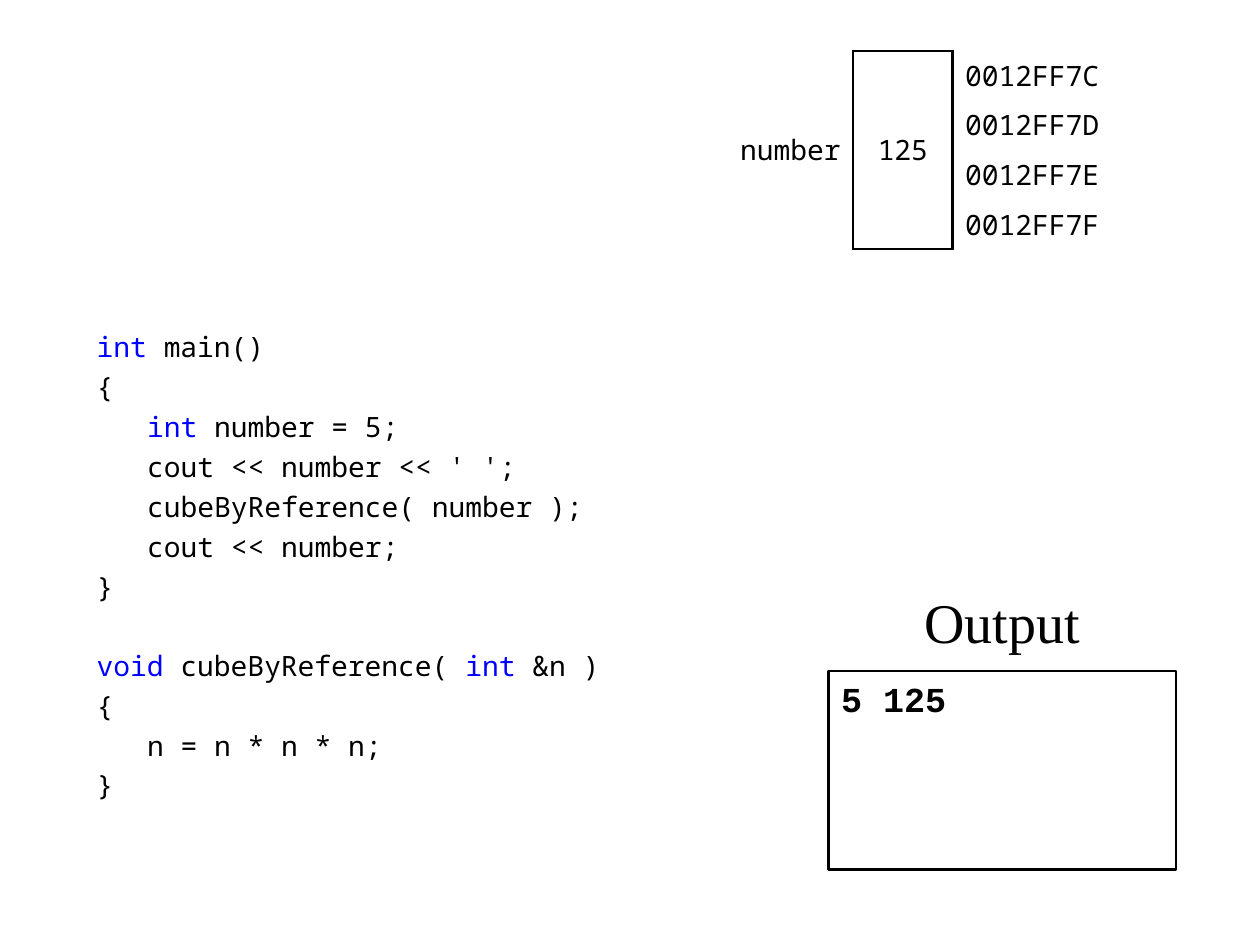
"""Build a slide on call by reference: code, memory table and program output."""
import pptx
import pptx.dml.color
import pptx.enum.shapes
import pptx.enum.text
import pptx.oxml
import pptx.oxml.ns
import pptx.util

Pt = pptx.util.Pt
ALIGN = pptx.enum.text.PP_ALIGN
MIDDLE = pptx.enum.text.MSO_ANCHOR.MIDDLE
COLORS = {"text": "000000", "keyword": "0000FF", "paper": "FFFFFF"}
CODE_FONT = "Noto Sans Mono"
KEYWORDS = ("int", "void")
FUNCTIONS = [
    [(0, "int main()"), (0, "{"), (1, "int number = 5;"),
     (1, "cout << number << ' ';"), (1, "cubeByReference( number );"),
     (1, "cout << number;"), (0, "}")],
    [(0, "void cubeByReference( int &n )"), (0, "{"),
     (1, "n = n * n * n;"), (0, "}")],
]
VARIABLE, VALUE = "number", "125"
ADDRESSES = ["0012FF7C", "0012FF7D", "0012FF7E", "0012FF7F"]
MEMORY_COLUMNS = [85, 56.7, 113.4]
BYTE_HEIGHT = 28.35
INDENT, LINE_GAP, LINE_PITCH = 28.8, 3.6, 22.4


def rgb(name):
    return pptx.dml.color.RGBColor.from_string(COLORS[name])


def style(run, size, font=CODE_FONT, color="text", bold=False):
    run.font.size, run.font.name, run.font.bold = Pt(size), font, bold
    run.font.color.rgb = rgb(color)


def write(frame, text, align, *looks):
    frame.text = text
    frame.paragraphs[0].alignment = align
    style(frame.paragraphs[0].runs[0], *looks)


def add_code(slide):
    code = slide.shapes.add_textbox(Pt(48.2), Pt(185), Pt(312), Pt(283.5)).text_frame
    code.word_wrap = True
    for f, function in enumerate(FUNCTIONS):
        for i, (level, statement) in enumerate(function):
            first = f == i == 0
            line = code.paragraphs[0] if first else code.add_paragraph()
            gap = LINE_GAP + (LINE_PITCH if f and i == 0 else 0)
            line.space_before = Pt(0 if first else gap)
            properties = line._p.get_or_add_pPr()
            properties.set("marL", str(Pt(INDENT)))
            properties.set("indent", str(Pt(INDENT * (level - 1))))
            words = statement.split(" ")
            for w, word in enumerate(words):
                run = line.add_run()
                run.text = word + (" " if w < len(words) - 1 else "")
                style(run, 16, color="keyword" if word in KEYWORDS else "text")


def set_borders(cell, sides):
    properties = cell._tc.get_or_add_tcPr()
    for position, side in enumerate("LRTB"):
        fill = (f'<a:solidFill><a:srgbClr val="{COLORS["text"]}"/></a:solidFill>'
                if side in sides else "<a:noFill/>")
        properties.insert(position, pptx.oxml.parse_xml(
            f'<a:ln{side} {pptx.oxml.ns.nsdecls("a")} w="{Pt(1.5)}">{fill}</a:ln{side}>'))


def add_memory(slide):
    count = len(ADDRESSES)
    table = slide.shapes.add_table(
        count, 3, Pt(402.6), Pt(29), Pt(sum(MEMORY_COLUMNS)),
        Pt(BYTE_HEIGHT * count)).table
    table.first_row = table.horz_banding = False
    for column, width in zip(table.columns, MEMORY_COLUMNS):
        column.width = Pt(width)
    for r, address in enumerate(ADDRESSES):
        table.rows[r].height = Pt(BYTE_HEIGHT)
        for c, sides in enumerate(("R", "LRTB", "L")):
            cell = table.cell(r, c)
            cell.fill.background()
            cell.vertical_anchor = MIDDLE
            cell.margin_top = cell.margin_bottom = Pt(1.4)
            cell.margin_left = Pt(7.2 if c else 5.7)
            set_borders(cell, sides)
        write(table.cell(r, 2).text_frame, address, ALIGN.LEFT, 16)
    for c, (text, align) in enumerate([(VARIABLE, ALIGN.RIGHT), (VALUE, ALIGN.CENTER)]):
        table.cell(0, c).merge(table.cell(count - 1, c))
        write(table.cell(0, c).text_frame, text, align, 16)


def add_output(slide):
    screen = slide.shapes.add_shape(
        pptx.enum.shapes.MSO_SHAPE.RECTANGLE, Pt(473.5), Pt(383.5), Pt(198.5), Pt(113.4))
    screen.shadow.inherit = False
    screen.fill.solid()
    screen.fill.fore_color.rgb = rgb("paper")
    screen.line.color.rgb = rgb("text")
    screen.line.width = Pt(1.5)
    screen.text_frame.vertical_anchor = pptx.enum.text.MSO_ANCHOR.TOP
    write(screen.text_frame, "5 125", ALIGN.LEFT, 20, "Courier New", "text", True)
    heading = slide.shapes.add_textbox(Pt(516.2), Pt(326.5), Pt(113), Pt(56.7)).text_frame
    heading.word_wrap = False
    heading.vertical_anchor = MIDDLE
    write(heading, "Output", ALIGN.CENTER, 32, "Times New Roman")


def main():
    deck = pptx.Presentation()
    deck.slide_width, deck.slide_height = Pt(720), Pt(540)
    slide = deck.slides.add_slide(deck.slide_layouts[6])
    add_code(slide)
    add_memory(slide)
    add_output(slide)
    deck.save("out.pptx")


if __name__ == "__main__":
    main()
